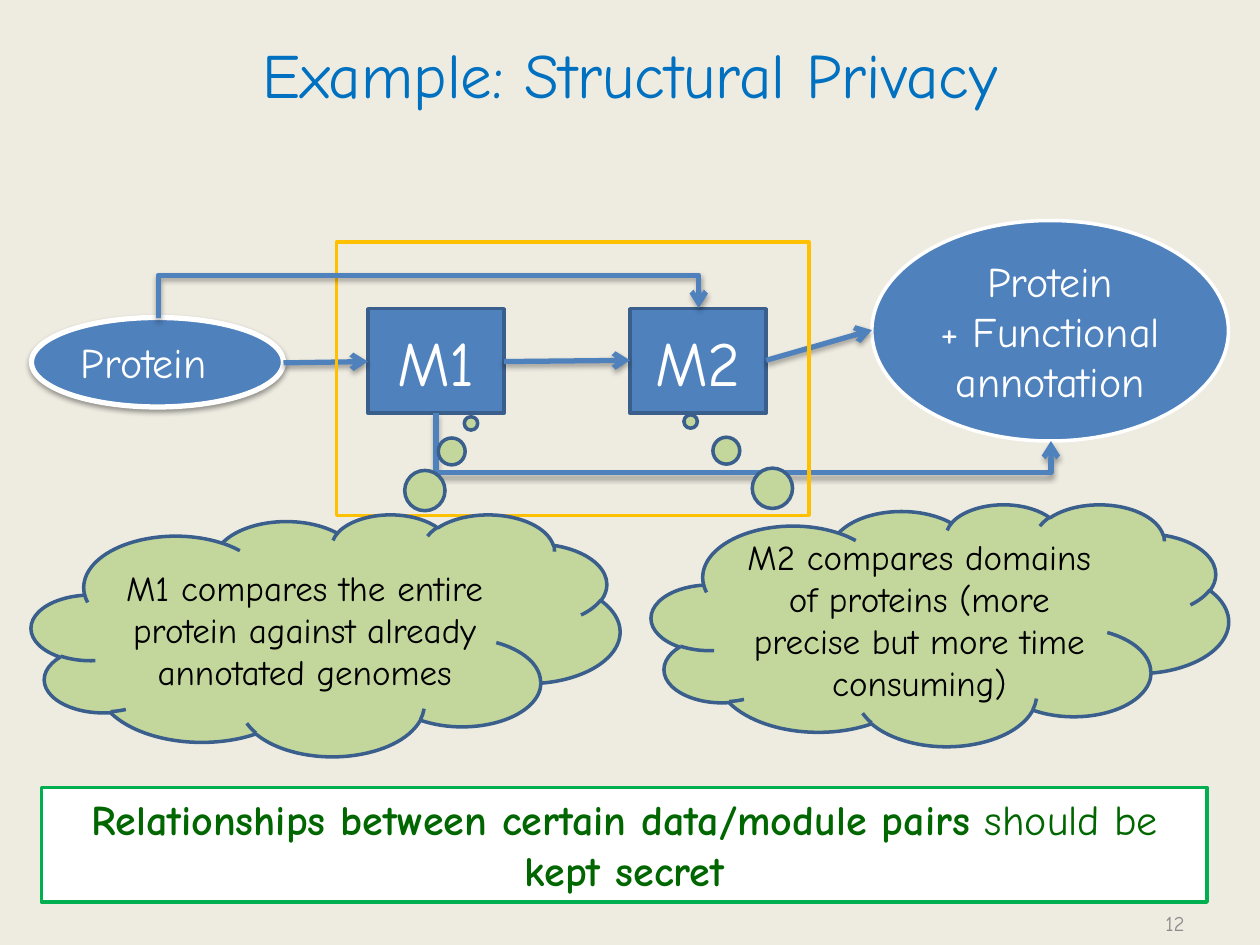
import pptx
import pptx.util
import pptx.oxml
import pptx.oxml.ns
import pptx.dml.color
import pptx.enum.shapes
import pptx.enum.text

Inches = pptx.util.Inches
Pt = pptx.util.Pt
qn = pptx.oxml.ns.qn
SHAPE = pptx.enum.shapes.MSO_SHAPE
CONNECTOR = pptx.enum.shapes.MSO_CONNECTOR
ALIGN = pptx.enum.text.PP_ALIGN
ANCHOR = pptx.enum.text.MSO_ANCHOR
FIT = pptx.enum.text.MSO_AUTO_SIZE.SHAPE_TO_FIT_TEXT

FONT = "Comic Neue"
HEX = {
    "page": "EEECE1", "title": "0070C0", "number": "8C8C8C",
    "blue": "4F81BD", "edge": "3A5F8C", "white": "FFFFFF",
    "frame": "FFC000", "cloud": "C3D69B", "black": "000000",
    "banner_edge": "00B050", "banner_text": "006600",
}
COLORS = {name: pptx.dml.color.RGBColor.from_string(value) for name, value in HEX.items()}
SHADOW = (
    '<a:effectLst {ns}><a:outerShdw blurRad="39370" dist="{dist}" dir="5400000" rotWithShape="0">'
    '<a:srgbClr val="000000"><a:alpha val="{alpha}"/></a:srgbClr></a:outerShdw></a:effectLst>'
)
NS = pptx.oxml.ns.nsdecls("a")


def draw_shape(kind, area, fill, edge, width, text="", size=24, color="white"):
    box = page.shapes.add_shape(kind, *[Inches(value) for value in area])
    box.shadow.inherit = False
    if fill:
        box.fill.solid()
        box.fill.fore_color.rgb = COLORS[fill]
    else:
        box.fill.background()
    box.line.color.rgb = COLORS[edge]
    box.line.width = Pt(width)
    box.text_frame.text = text
    box.text_frame.word_wrap = True
    box.text_frame.vertical_anchor = ANCHOR.MIDDLE
    for para in box.text_frame.paragraphs:
        para.alignment = ALIGN.CENTER
        for span in para.runs:
            span.font.name = FONT
            span.font.size = Pt(size)
            span.font.color.rgb = COLORS[color]
    return box


def draw_arrow(start, end, degrees=None, bend=None):
    kind = CONNECTOR.STRAIGHT if bend is None else CONNECTOR.ELBOW
    arrow = page.shapes.add_connector(kind, *[Inches(value) for value in start + end])
    arrow.line.color.rgb = COLORS["blue"]
    arrow.line.width = Pt(3)
    properties = arrow._element.spPr
    head = pptx.oxml.parse_xml(f'<a:tailEnd {NS} type="arrow"/>')
    properties.find(qn("a:ln")).append(head)
    properties.append(pptx.oxml.parse_xml(SHADOW.format(ns=NS, dist=22860, alpha=35000)))
    if bend is not None:
        properties.find(qn("a:xfrm")).set("rot", str(degrees * 60000))
        geometry = properties.find(qn("a:prstGeom"))
        for old in geometry.findall(qn("a:avLst")):
            geometry.remove(old)
        geometry.append(pptx.oxml.parse_xml(
            f'<a:avLst {NS}><a:gd name="adj1" fmla="val {round(bend * 100000)}"/></a:avLst>'))


deck = pptx.Presentation()
deck.slide_width, deck.slide_height = Inches(10), Inches(7.5)
page = deck.slides.add_slide(deck.slide_layouts[5])
page.background.fill.solid()
page.background.fill.fore_color.rgb = COLORS["page"]

title = page.shapes.title
title.left, title.top, title.width, title.height = Inches(0.5), Inches(0.08), Inches(9), Inches(1)
number = page.shapes.add_textbox(Inches(7.17), Inches(7.18), Inches(2.33), Inches(0.3))
number.text_frame.word_wrap = True
for box, text, size, color, align in [
    (title, "Example: Structural Privacy", 36, "title", ALIGN.CENTER),
    (number, "12", 12, "number", ALIGN.RIGHT),
]:
    box.text_frame.text = text
    box.text_frame.vertical_anchor = ANCHOR.MIDDLE
    para = box.text_frame.paragraphs[0]
    para.alignment = align
    font = para.runs[0].font
    font.name, font.size, font.color.rgb = FONT, Pt(size), COLORS[color]

for left, module in [(2.92, "M1"), (5, "M2")]:
    draw_shape(SHAPE.RECTANGLE, (left, 2.45, 1.08, 0.83), "blue", "edge", 2, module, 36)

draw_shape(SHAPE.OVAL, (6.92, 1.75, 2.83, 1.75), "blue", "white", 2,
           "Protein\n+ Functional annotation")
protein = draw_shape(SHAPE.OVAL, (0.25, 2.52, 2, 0.71), "blue", "white", 3, "Protein")
protein.text_frame.vertical_anchor = ANCHOR.TOP
protein.text_frame.auto_size = FIT
protein.text_frame.paragraphs[0].alignment = ALIGN.LEFT
protein_properties = protein._element.spPr
protein_properties.remove(protein_properties.find(qn("a:effectLst")))
protein_properties.append(pptx.oxml.parse_xml(SHADOW.format(ns=NS, dist=20320, alpha=38000)))

for start, end in [
    ((2.25, 2.88), (2.92, 2.87)),
    ((4, 2.87), (5, 2.86)),
    ((6.08, 2.86), (6.92, 2.62)),
]:
    draw_arrow(start, end)

draw_arrow((6.01, 0.95), (5.79, 5.83), 270, 2.149)
draw_shape(SHAPE.RECTANGLE, (2.67, 1.92, 3.75, 2.17), None, "frame", 2)
draw_arrow((3.44, 4.63), (3.36, 0.34), 90, 4.266)

for area, tip, text in [
    ((5.17, 4, 4.58, 1.92), (-0.432, -0.841),
     "M2 compares domains of proteins (more precise but more time consuming)"),
    ((0.25, 4.08, 4.67, 1.92), (0.247, -0.875),
     "M1 compares the entire protein against already annotated genomes"),
]:
    cloud = draw_shape(SHAPE.CLOUD_CALLOUT, area, "cloud", "edge", 2, text, 20, "black")
    cloud.adjustments[0], cloud.adjustments[1] = tip

banner = draw_shape(SHAPE.RECTANGLE, (0.33, 6.25, 9.25, 0.91), "white", "banner_edge", 2)
banner.text_frame.vertical_anchor = ANCHOR.TOP
banner.text_frame.auto_size = FIT
for text, bold in [
    ("Relationships between certain data/module pairs ", True),
    ("should be ", False),
    ("kept secret", True),
]:
    span = banner.text_frame.paragraphs[0].add_run()
    span.text = text
    span.font.name, span.font.size, span.font.bold = FONT, Pt(24), bold
    span.font.color.rgb = COLORS["banner_text"]

deck.save("out.pptx")
